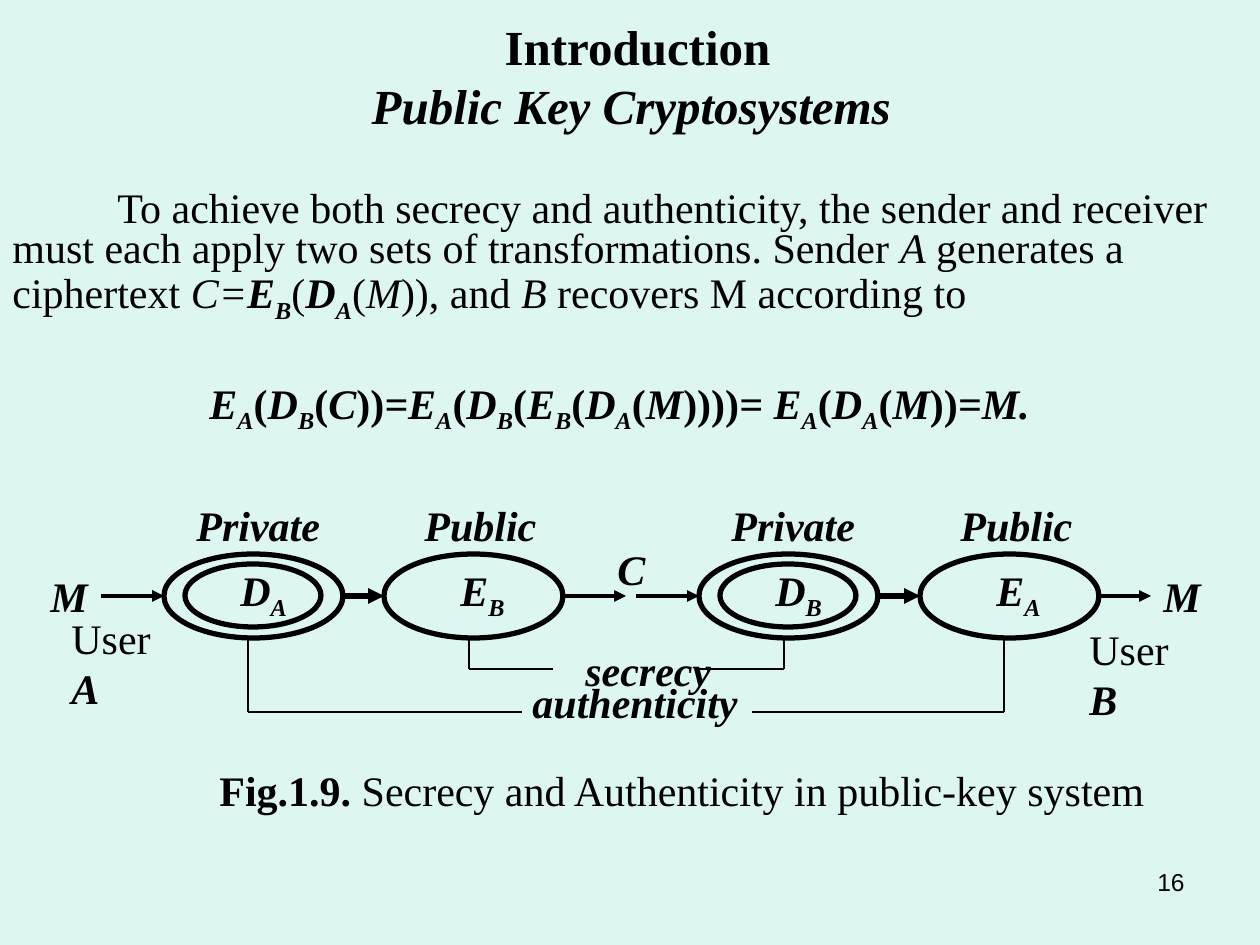
from lxml.etree import SubElement
from pptx import Presentation
from pptx.dml.color import RGBColor
from pptx.enum.shapes import MSO_CONNECTOR as Link, MSO_SHAPE as Shape
from pptx.enum.text import MSO_AUTO_SIZE as Fit, PP_ALIGN as Align
from pptx.oxml.ns import qn
from pptx.util import Pt

paint = RGBColor.from_string
INK = "000000"


def px(*lengths):
    return [round(n * 914400 / 126) for n in lengths]


def write(box, paragraphs, size=24, font="Times New Roman", wrap=True, indent=0, **layout):
    frame = slide.shapes.add_textbox(*px(*box)).text_frame
    frame.word_wrap = wrap
    frame.auto_size = Fit.SHAPE_TO_FIT_TEXT
    for number, runs in enumerate(paragraphs):
        paragraph = frame.add_paragraph() if number else frame.paragraphs[0]
        for key, value in layout.items():
            setattr(paragraph, key, value)
        if indent and number == 0:
            paragraph._p.get_or_add_pPr().set("indent", str(px(indent)[0]))
        for text, style in runs:
            run = paragraph.add_run()
            run.text = text
            look = {"name": font, "size": Pt(size), "bold": "b" in style, "italic": "i" in style}
            for key, value in look.items():
                setattr(run.font, key, value)
            run.font.color.rgb = paint(INK)
            if "s" in style:
                run._r.get_or_add_rPr().set("baseline", "-25000")
    return frame


deck = Presentation()
deck.slide_width, deck.slide_height = px(1260, 945)
slide = deck.slides.add_slide(deck.slide_layouts[6])
slide.background.fill.solid()
slide.background.fill.fore_color.rgb = paint("DEF6F1")

write((359, 10, 557, 130),
      [[("Introduction", "b")], [("Public Key Cryptosystems ", "bi")]],
      size=28, wrap=False, alignment=Align.CENTER)

explanation = [
    ("To achieve both secrecy and authenticity, the sender and receiver must each apply "
     "two sets of transformations. Sender ", ""),
    ("A", "i"), (" generates a ciphertext ", ""), ("C=", "i"),
    ("E", "bi"), ("B", "bis"), ("(", ""), ("D", "bi"), ("A", "bis"), ("(", ""),
    ("M", "i"), (")), and ", ""), ("B", "i"), (" recovers M according to", ""),
]
formula_styles = {"A": "bis", "B": "bis", "(": "b", "))": "b", "))))": "b"}
formula = [
    (part, formula_styles.get(part, "bi"))
    for part in "E|A|(|D|B|(|C|))|=E|A|(|D|B|(|E|B|(|D|A|(|M|))))|= E|A|(|D|A|(|M|))|=M.".split("|")
]
body = write((0, 185, 1239, 305), [explanation, formula], indent=105,
             line_spacing=0.8, space_before=Pt(7.5))
body.paragraphs[1].alignment = Align.CENTER
body.paragraphs[1].space_before = Pt(37)

ciphers = [
    (164, "Private", 20, "D", "A"),
    (384, "Public", 28, "E", "B"),
    (699, "Private", 20, "D", "B"),
    (920, "Public", 28, "E", "A"),
]
for left, key_kind, key_shift, operation, user in ciphers:
    rings = [(left, 554, 179, 84)]
    if key_kind == "Private":
        rings.append((left + 21, 564, 136, 63))
    for ring in rings:
        ellipse = slide.shapes.add_shape(Shape.OVAL, *px(*ring))
        ellipse.shadow.inherit = False
        ellipse.fill.background()
        ellipse.line.color.rgb = paint(INK)
        ellipse.line.width = Pt(3)
    write((left + key_shift, 493, 158, 63), [[(key_kind, "bi")]])
    write((left + 64, 558, 72, 71), [[(operation, "bi"), (user, "bis")]], wrap=False)

lines = [
    (start, 596, end, 596, weight, True)
    for start, end, weight in [
        (101, 164, 2.25), (343, 384, 3), (563, 626, 2.25),
        (636, 699, 2.25), (878, 920, 3), (1099, 1151, 2.25),
    ]
]
for left, gap_left, gap_right, right, bottom in [(469, 553, 699, 784, 669),
                                                 (248, 522, 752, 1004, 712)]:
    lines += [
        (left, 638, left, bottom, 0.75, False),
        (right, 638, right, bottom, 0.75, False),
        (left, bottom, gap_left, bottom, 0.75, False),
        (gap_right, bottom, right, bottom, 0.75, False),
    ]
for *ends, weight, arrow in lines:
    link = slide.shapes.add_connector(Link.STRAIGHT, *px(*ends))
    link.line.color.rgb = paint(INK)
    link.line.width = Pt(weight)
    if arrow:
        SubElement(link.line._get_or_add_ln(), qn("a:tailEnd"), type="triangle")
    SubElement(link._element.spPr, qn("a:effectLst"))

for box, message in [
    ((38, 564, 57, 63), "M"),
    ((1151, 564, 57, 63), "M"),
    ((573, 638, 189, 63), "secrecy"),
    ((520, 670, 247, 63), "authenticity"),
]:
    write(box, [[(message, "bi")]])
write((605, 537, 53, 63), [[("C", "bi")]], wrap=False)

for left, top, user in [(59, 606, "A"), (1077, 617, "B")]:
    write((left, top, 136, 113), [[("User ", ""), (user, "bi")]])

write((207, 770, 953, 50),
      [[("Fig.1.9.", "b"), (" Secrecy and Authenticity in public-key system", "")]],
      wrap=False, line_spacing=0.75, space_before=Pt(7.5))
write((903, 861, 294, 65), [[("16", "")]], size=14, font="Arial", alignment=Align.RIGHT)

deck.save("out.pptx")
